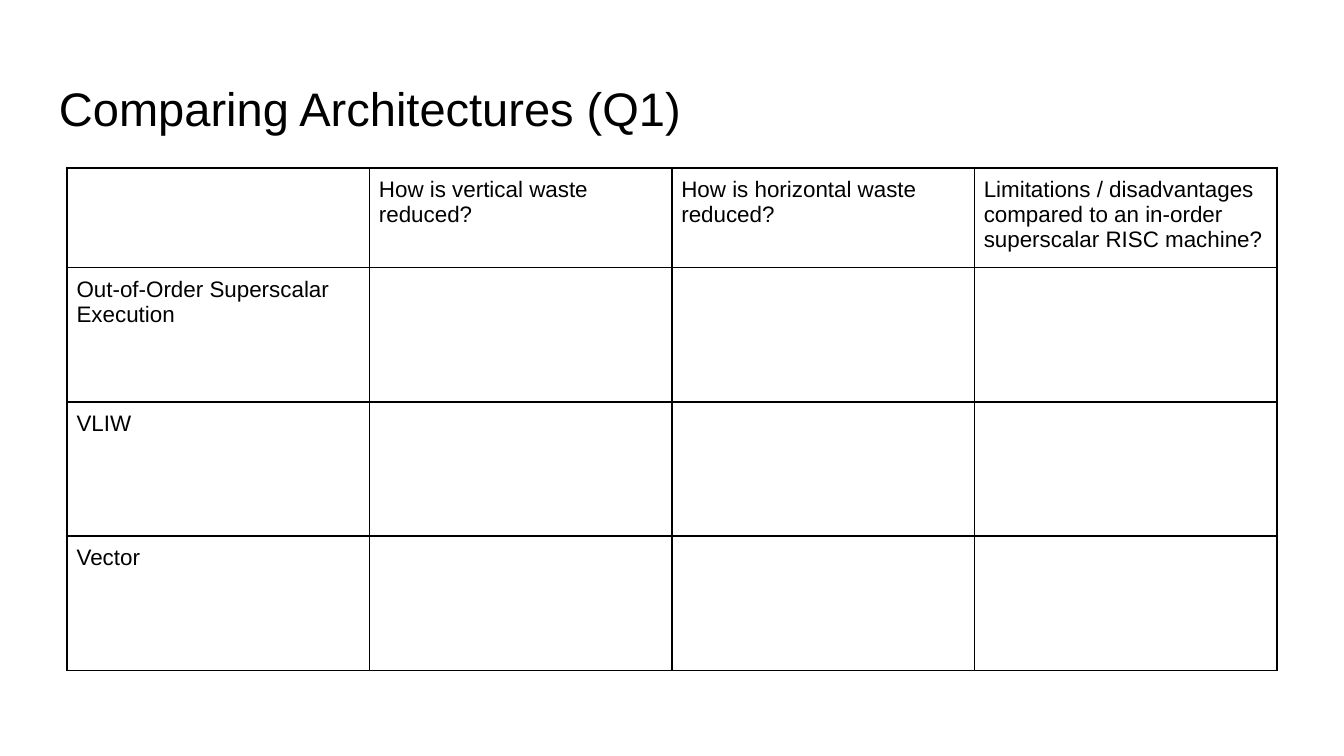
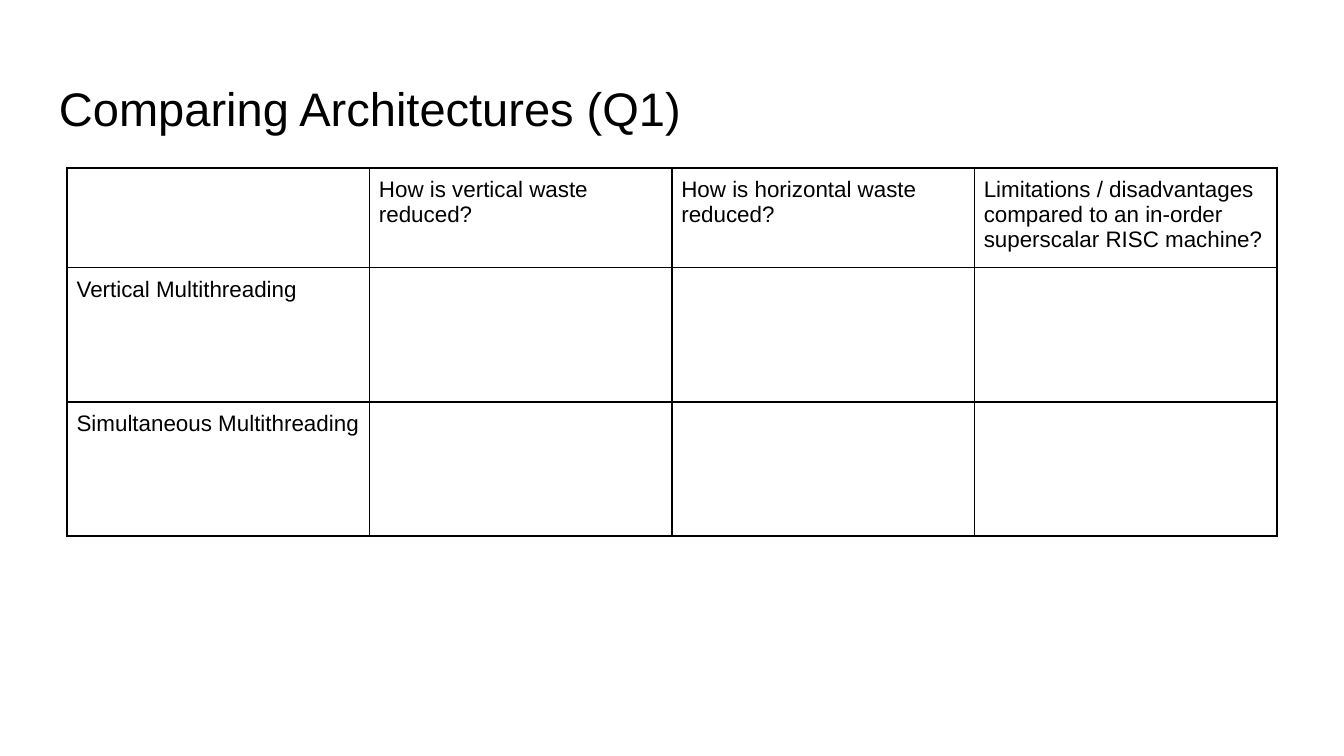
from pptx import Presentation
from pptx import util as u
from pptx.dml import color
from pptx.enum import text as t
from pptx.oxml import ns
from lxml import etree

PX = 4572
FONT = "Arial"
BLACK = "000000"
TITLE = "Comparing Architectures (Q1)"
QUESTIONS = [
    "",
    "How is vertical waste reduced?",
    "How is horizontal waste reduced?",
    "Limitations / disadvantages compared to an in-order superscalar RISC machine?",
]
ARCHITECTURES = [
    ["Out-of-Order Superscalar Execution", "VLIW", "Vector"],
    ["Vertical Multithreading", "Simultaneous Multithreading"],
]


def px(length):
    return u.Emu(length * PX)


def rgb(value):
    return color.RGBColor.from_string(value)


def write(frame, text, size=12, ink=BLACK, inset=14, anchor=t.MSO_ANCHOR.TOP):
    frame.word_wrap = True
    frame.vertical_anchor = anchor
    frame.margin_left = frame.margin_right = px(inset)
    frame.margin_top = frame.margin_bottom = px(inset)
    para = frame.paragraphs[0]
    para.alignment = t.PP_ALIGN.LEFT
    span = para.add_run()
    span.text = text
    span.font.name = FONT
    span.font.size = u.Pt(size)
    span.font.color.rgb = rgb(ink)


class Deck:
    """Holds the shared style and the current slide."""

    def __init__(self):
        self.deck = Presentation()
        self.deck.slide_width, self.deck.slide_height = px(2000), px(1125)
        self.page = None

    def add_page(self):
        self.page = self.deck.slides.add_slide(self.deck.slide_layouts[6])

    def title(self, text):
        box = self.page.shapes.add_textbox(px(68), px(98), px(1864), px(126))
        write(box.text_frame, text, size=25.2, inset=20, anchor=t.MSO_ANCHOR.MIDDLE)

    def border(self, cell):
        properties = cell._tc.get_or_add_tcPr()
        for side in ("lnL", "lnR", "lnT", "lnB"):
            line = etree.SubElement(properties, ns.qn(f"a:{side}"), w=str(u.Pt(1)))
            fill = etree.SubElement(line, ns.qn("a:solidFill"))
            etree.SubElement(fill, ns.qn("a:srgbClr"), val=BLACK)

    def table(self, rows, left=100, top=250, column=450, header=140, body=200):
        heights = [header] + [body] * (len(rows) - 1)
        columns = len(rows[0])
        table = self.page.shapes.add_table(
            len(rows), columns, px(left), px(top), px(column * columns), px(sum(heights))
        ).table
        table.first_row = table.horz_banding = False
        for row, height in zip(table.rows, heights):
            row.height = px(height)
        for row, texts in zip(table.rows, rows):
            for cell, text in zip(row.cells, texts):
                self.border(cell)
                cell.fill.background()
                if text:
                    frame = cell.text_frame
                    write(frame, text)
                cell.margin_left = cell.margin_right = px(14)
                cell.margin_top = cell.margin_bottom = px(14)
                cell.vertical_anchor = t.MSO_ANCHOR.TOP

    def save(self):
        self.deck.save("out.pptx")


def main():
    deck = Deck()
    for names in ARCHITECTURES:
        deck.add_page()
        deck.title(TITLE)
        blanks = [""] * (len(QUESTIONS) - 1)
        deck.table([QUESTIONS] + [[name] + blanks for name in names])
    deck.save()


if __name__ == "__main__":
    main()
